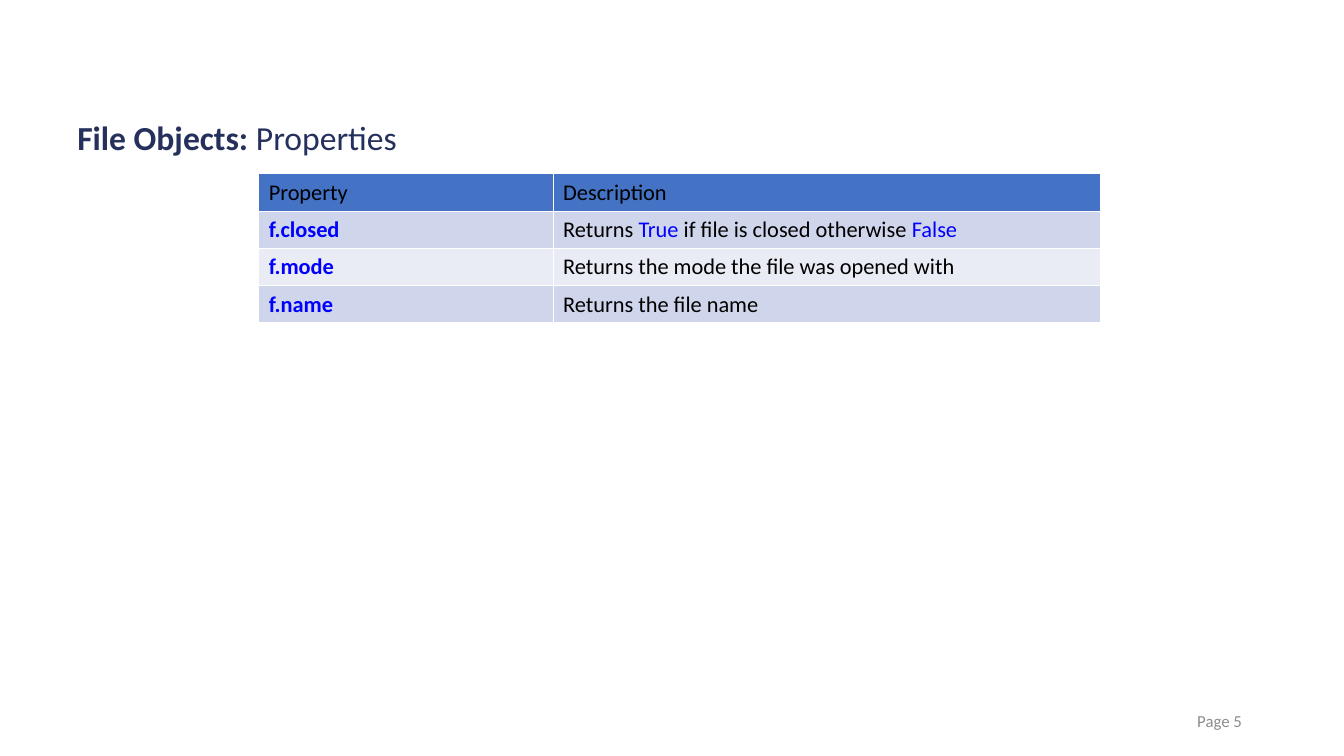
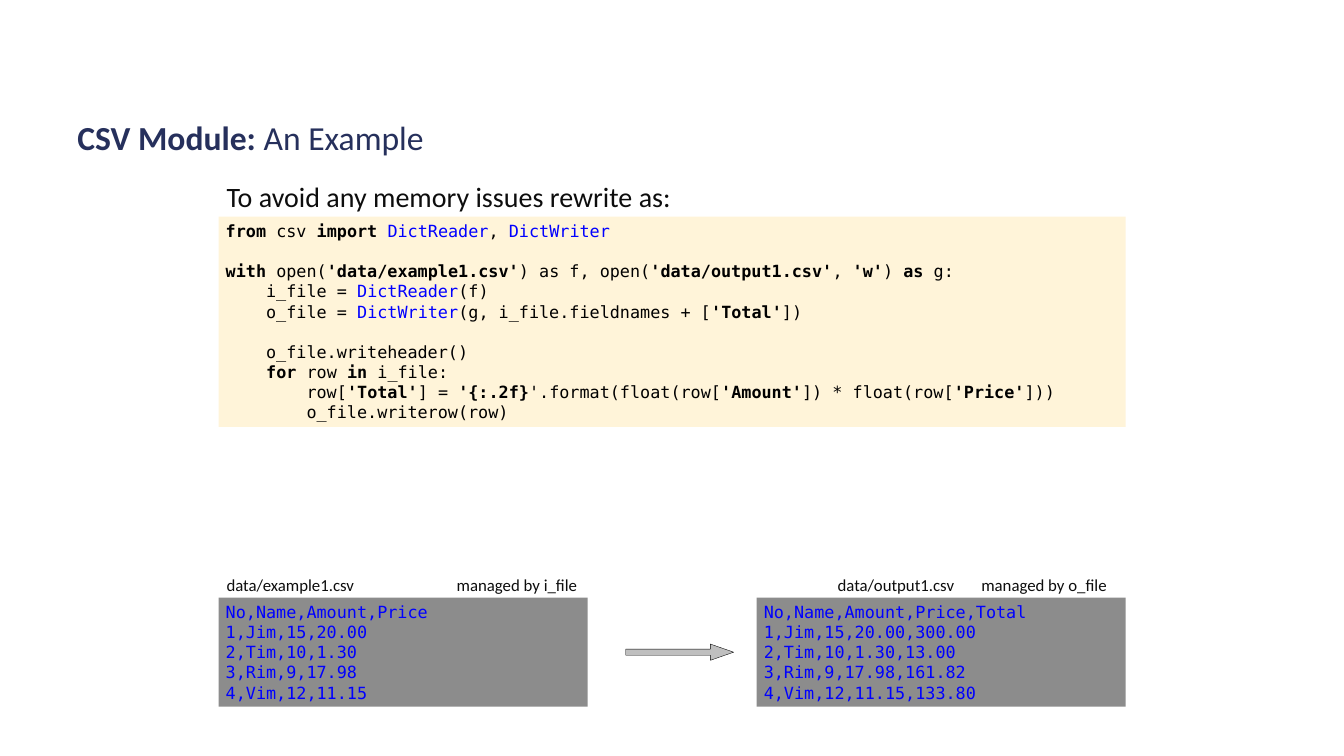
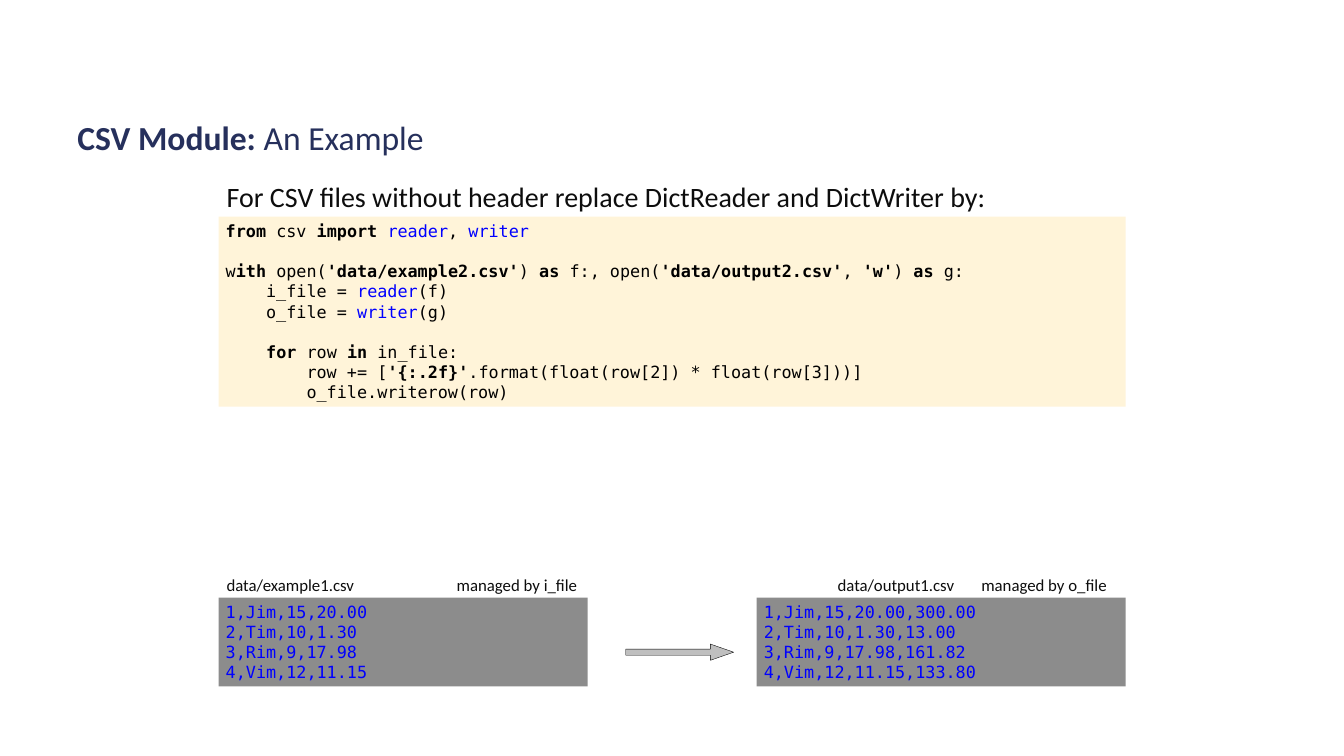
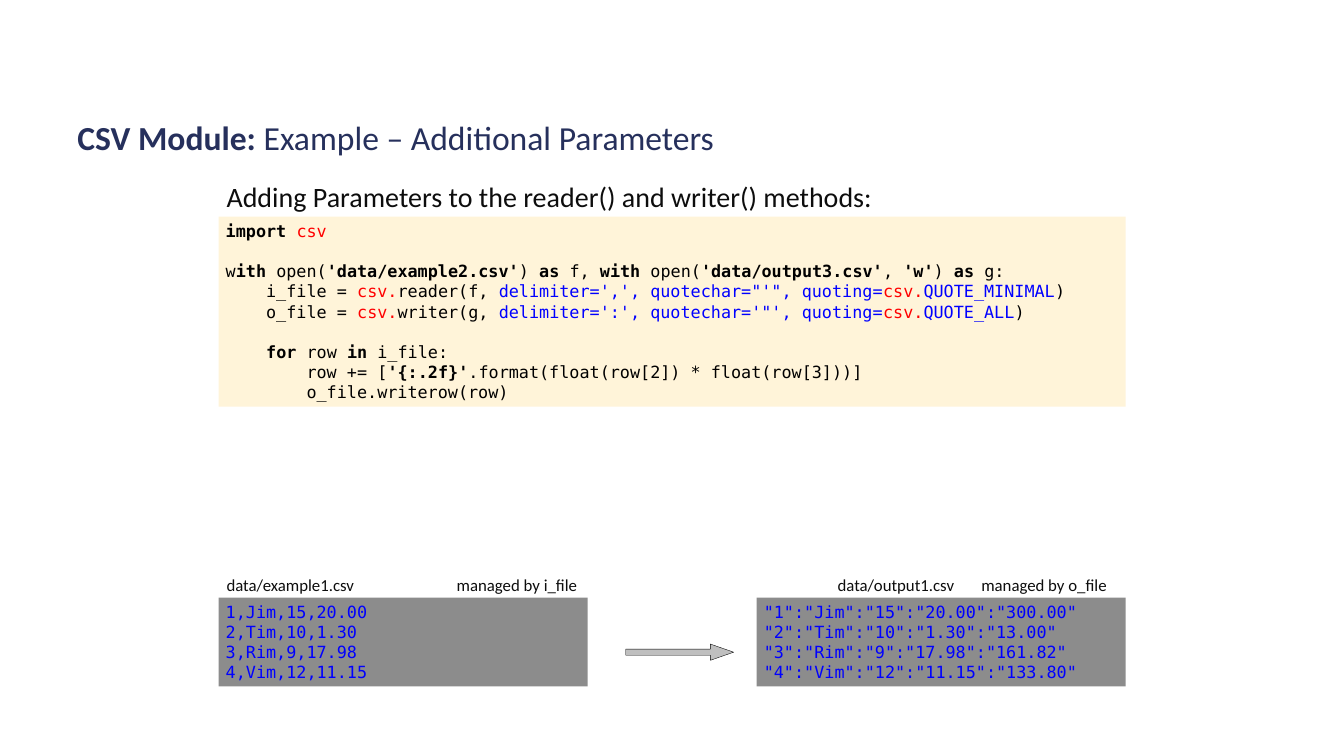
from lxml import etree
from pptx import Presentation
from pptx.dml.color import RGBColor
from pptx.enum.shapes import MSO_SHAPE
from pptx.enum.text import MSO_ANCHOR, PP_ALIGN
from pptx.oxml.ns import qn
from pptx.util import Cm, Pt

RECTANGLE, RIGHT_ARROW = MSO_SHAPE.RECTANGLE, MSO_SHAPE.RIGHT_ARROW
TOP, MIDDLE = MSO_ANCHOR.TOP, MSO_ANCHOR.MIDDLE
RIGHT = PP_ALIGN.RIGHT

SANS, MONO = "Calibri", "DejaVu Sans Mono"
NAVY, INK, BLACK, BLUE, RED = "26305C", "0D0D0D", "000000", "0000FF", "FF0000"
CREAM, GREY, SILVER, FOOTER_GREY = "FFF4D9", "8C8C8C", "BFBFBF", "8C8C8C"
HEADER_FILL, ROW_FILLS = "4472C4", ("CFD5EA", "E9EBF5")

# Switches inside text: each one turns its style on or off.
BOLD_MARK = "^"
COLOR_MARKS = {"~": BLUE, "|": RED}

CONTENT_LEFT, CONTENT_WIDTH = 5.51, 22.86
CODE_LINE, CODE_PADDING = 0.51, 0.2  # cm
BLANK_LINE = Pt(14.4)
TAB_STOPS = (5.8, 15.4, 19.02)
CAPTIONS = ("data/example1.csv", "managed by i_file",
            "data/output1.csv", "managed by o_file")

PROPERTY_ROWS = [
    ("Property", "Description"),
    ("^~f.closed~^", "Returns ~True~ if file is closed otherwise ~False~"),
    ("^~f.mode~^", "Returns the mode the file was opened with"),
    ("^~f.name~^", "Returns the file name"),
]

DICT_CODE = """\
^from ^csv ^import ^~DictReader~, ~DictWriter~

^with^ open(^'data/example1.csv'^) as f, open(^'data/output1.csv'^, ^'w'^) ^as^ g:
    i_file = ~DictReader~(f)
    o_file = ~DictWriter~(g, i_file.fieldnames + [^'Total'^])

    o_file.writeheader()
    ^for^ row ^in ^i_file:
        row[^'Total'^] = ^'{:.2f}^'.format(float(row[^'Amount'^]) * float(row[^'Price'^]))
        o_file.writerow(row)"""

ROW_LOOP = """
        row += [^'{:.2f}'^.format(float(row[2]) * float(row[3]))]
        o_file.writerow(row)"""

READER_CODE = """\
^from ^csv ^import ^~reader~, ~writer~

w^ith ^open(^'data/example2.csv'^) ^as ^f:, open(^'data/output2.csv'^, ^'w'^) ^as ^g:
    i_file = ~reader~(f)
    o_file = ~writer~(g)

    ^for ^row ^in ^in_file:""" + ROW_LOOP

PARAMETER_CODE = """\
^import ^|csv|

w^ith ^open(^'data/example2.csv'^) ^as ^f, ^with ^open(^'data/output3.csv'^, ^'w'^) ^as ^g:
    i_file = |csv.|reader(f, ~delimiter=',', quotechar="'", quoting=~|csv.|~QUOTE_MINIMAL~)
    o_file = |csv.|writer(g, ~delimiter=':', quotechar='"', quoting=~|csv.|~QUOTE_ALL~)

    ^for ^row ^in ^i_file:""" + ROW_LOOP

INPUT_ROWS = "1,Jim,15,20.00\n2,Tim,10,1.30\n3,Rim,9,17.98\n4,Vim,12,11.15"
OUTPUT_ROWS = ("1,Jim,15,20.00,300.00\n2,Tim,10,1.30,13.00\n"
               "3,Rim,9,17.98,161.82\n4,Vim,12,11.15,133.80")
QUOTED_ROWS = "\n".join(
    ":".join(f'"{value}"' for value in row.split(",")) for row in OUTPUT_ROWS.split("\n"))

EXAMPLES = [
    ("An Example", "To avoid any memory issues rewrite as:", DICT_CODE,
     "No,Name,Amount,Price\n" + INPUT_ROWS,
     "No,Name,Amount,Price,Total\n" + OUTPUT_ROWS),
    ("An Example", "For CSV files without header replace DictReader and DictWriter by:",
     READER_CODE, INPUT_ROWS, OUTPUT_ROWS),
    ("Example – Additional Parameters",
     "Adding Parameters to the reader() and writer() methods:",
     PARAMETER_CODE, INPUT_ROWS, QUOTED_ROWS),
]


def rgb(value):
    return RGBColor.from_string(value)


def styled_pieces(line):
    """Yield (text, bold, colour) for each stretch between switches."""
    text, bold, color = "", False, None
    for character in line:
        if character != BOLD_MARK and character not in COLOR_MARKS:
            text += character
            continue
        if text:
            yield text, bold, color
        text = ""
        if character == BOLD_MARK:
            bold = not bold
        else:
            color = None if color else COLOR_MARKS[character]
    if text:
        yield text, bold, color


def write_line(paragraph, line, font_name, size, color):
    font = paragraph.font
    font.name, font.size, font.bold = font_name, Pt(size), False
    font.color.rgb = rgb(color)
    for text, bold, piece_color in styled_pieces(line):
        run = paragraph.add_run()
        run.text = text
        if bold:
            run.font.bold = True
        if piece_color:
            run.font.color.rgb = rgb(piece_color)


def set_frame(frame, inset_x, inset_y, anchor):
    frame.word_wrap = True
    frame.margin_left = frame.margin_right = Cm(inset_x)
    frame.margin_top = frame.margin_bottom = Cm(inset_y)
    frame.vertical_anchor = anchor


def add_label(slide, box, text, size, color, inset_x=0.2, inset_y=0.1, anchor=TOP):
    """Add one line of text and return its paragraph."""
    frame = slide.shapes.add_textbox(*map(Cm, box)).text_frame
    set_frame(frame, inset_x, inset_y, anchor)
    paragraph = frame.paragraphs[0]
    write_line(paragraph, text, SANS, size, color)
    return paragraph


def add_title(slide, topic, detail):
    paragraph = add_label(slide, (1.7, 2.92, 30.48, 1.19), f"^{topic}: ^{detail}",
                          24, NAVY, 0.25, 0.13, MIDDLE)
    paragraph.line_spacing = 0.9


def add_page_number(slide, number):
    paragraph = add_label(slide, (23.93, 17.65, 7.62, 1.02), f"Page {number}",
                          12, FOOTER_GREY, 0.25, 0.13, MIDDLE)
    paragraph.alignment = RIGHT


def add_panel(slide, left, top, width, text, fill, color):
    """Add a box of monospaced lines, as high as its lines need."""
    lines = text.split("\n")
    height = len(lines) * CODE_LINE + CODE_PADDING
    panel = slide.shapes.add_shape(RECTANGLE, Cm(left), Cm(top), Cm(width), Cm(height))
    panel.shadow.inherit = False
    panel.fill.solid()
    panel.fill.fore_color.rgb = rgb(fill)
    panel.line.fill.background()
    frame = panel.text_frame
    set_frame(frame, 0.18, CODE_PADDING / 2, TOP)
    paragraph, after_blank = frame.paragraphs[0], False
    for index, line in enumerate(lines):
        if not line:
            after_blank = True
            continue
        if index:
            paragraph = frame.add_paragraph()
        paragraph.alignment = PP_ALIGN.LEFT
        if after_blank:
            paragraph.space_before = BLANK_LINE
        after_blank = False
        write_line(paragraph, line, MONO, 12, color)


def add_file_flow(slide, left, top, width, input_text, output_text):
    """Show the input file, an arrow and the output file under their captions."""
    panel_width, panel_top = 9.3, top + 0.68
    captions = add_label(slide, (left, top, width, 0.68), "\t".join(CAPTIONS), 12, INK)
    tab_list = etree.Element(qn("a:tabLst"))
    for stop in TAB_STOPS:
        etree.SubElement(tab_list, qn("a:tab"), pos=str(Cm(stop)), algn="l")
    captions.font  # creates the default run properties, which follow the tabs
    properties = captions._p.get_or_add_pPr()
    properties.find(qn("a:defRPr")).addprevious(tab_list)

    add_panel(slide, left, panel_top, panel_width, input_text, GREY, BLUE)
    add_panel(slide, left + width - panel_width, panel_top, panel_width,
              output_text, GREY, BLUE)
    arrow = slide.shapes.add_shape(RIGHT_ARROW, Cm(left + 10.26), Cm(panel_top + 1.17),
                                   Cm(2.72), Cm(0.41))
    arrow.adjustments[0], arrow.adjustments[1] = 0.38, 1.43
    arrow.shadow.inherit = False
    arrow.fill.solid()
    arrow.fill.fore_color.rgb = rgb(SILVER)
    arrow.line.color.rgb = rgb(BLACK)
    arrow.line.width = Pt(0.25)


def add_property_table(slide, left, top, column_widths, row_height):
    table = slide.shapes.add_table(
        len(PROPERTY_ROWS), len(column_widths), Cm(left), Cm(top),
        Cm(sum(column_widths)), Cm(row_height * len(PROPERTY_ROWS))).table
    for column, width in zip(table.columns, column_widths):
        column.width = Cm(width)
    for row_index, texts in enumerate(PROPERTY_ROWS):
        fill = ROW_FILLS[(row_index - 1) % 2] if row_index else HEADER_FILL
        for column_index, text in enumerate(texts):
            cell = table.cell(row_index, column_index)
            cell.fill.solid()
            cell.fill.fore_color.rgb = rgb(fill)
            write_line(cell.text_frame.paragraphs[0], text, SANS, 16, BLACK)


def build_properties_slide(slide):
    add_title(slide, "File Objects", "Properties")
    add_property_table(slide, 6.52, 4.38, (7.42, 13.79), 0.94)
    add_page_number(slide, 5)


def build_example_slide(slide, detail, intro, code, input_text, output_text):
    add_title(slide, "CSV Module", detail)
    add_label(slide, (CONTENT_LEFT, 4.42, CONTENT_WIDTH, 1.04), intro, 20, INK)
    add_panel(slide, CONTENT_LEFT, 5.46, CONTENT_WIDTH, code, CREAM, BLACK)
    add_file_flow(slide, CONTENT_LEFT, 14.38, CONTENT_WIDTH, input_text, output_text)


def main():
    presentation = Presentation()
    presentation.slide_width, presentation.slide_height = Cm(33.87), Cm(19.05)
    blank = presentation.slide_layouts[6]
    build_properties_slide(presentation.slides.add_slide(blank))
    for example in EXAMPLES:
        build_example_slide(presentation.slides.add_slide(blank), *example)
    presentation.save("out.pptx")


if __name__ == "__main__":
    main()
